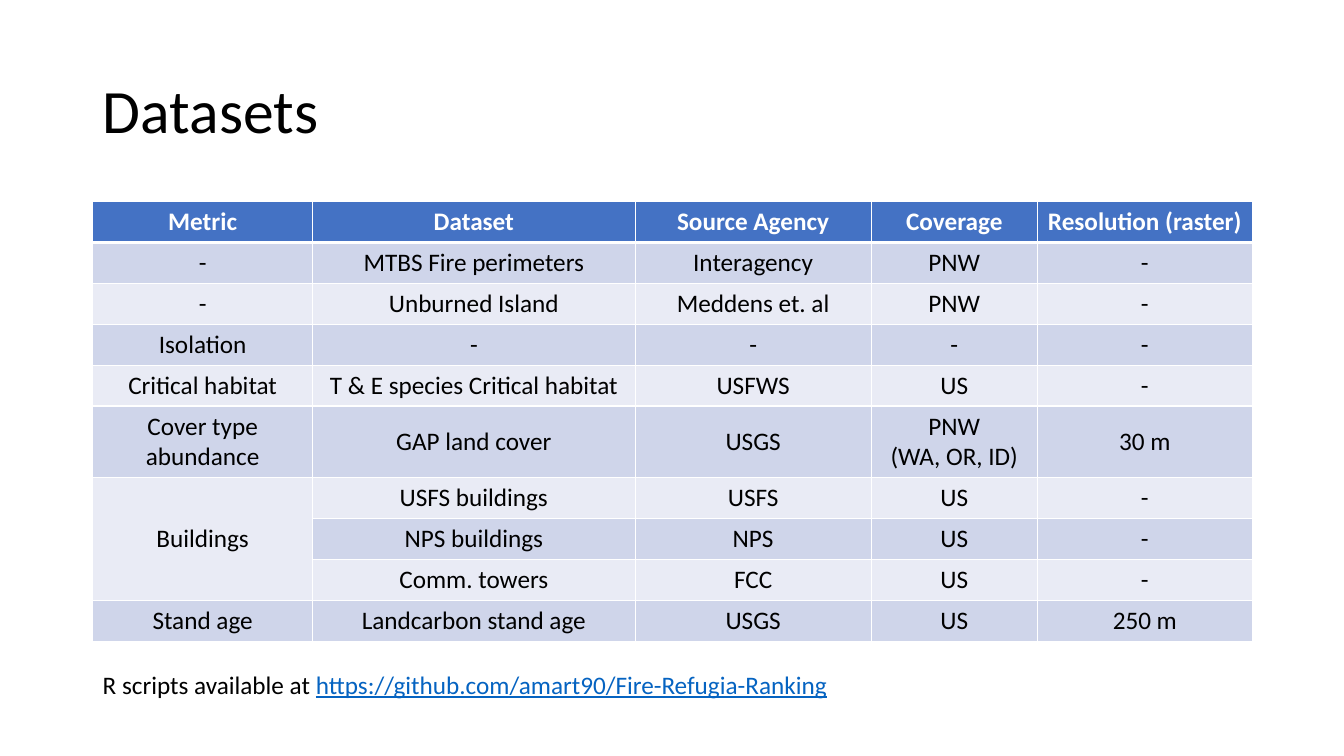
from typing import NamedTuple

from lxml.etree import SubElement
from pptx import Presentation
from pptx.dml.color import RGBColor
from pptx.enum.text import MSO_ANCHOR as Anchor, PP_ALIGN as Align
from pptx.oxml.ns import qn
from pptx.util import Inches, Pt

FACE = "Calibri"
BLACK, WHITE, LINK = "000000", "FFFFFF", "0563C1"
HEAD, BANDS = "4472C4", ("CFD5EA", "E9EBF5")
WIDTHS = (2.18, 3.2, 2.34, 1.65, 2.13)
LEFT, WIDE = 0.92, 11.5


class Row(NamedTuple):
    metric: str
    data: str
    agency: str
    cover: str
    grain: str


ROWS = (
    Row("Metric", "Dataset", "Source Agency", "Coverage", "Resolution (raster)"),
    Row("-", "MTBS Fire perimeters", "Interagency", "PNW", "-"),
    Row("-", "Unburned Island", "Meddens et. al", "PNW", "-"),
    Row("Isolation", "-", "-", "-", "-"),
    Row("Critical habitat", "T & E species Critical habitat", "USFWS", "US", "-"),
    Row("Cover type abundance", "GAP land cover", "USGS", "PNW\n(WA, OR, ID)", "30 m"),
    Row("Buildings", "USFS buildings", "USFS", "US", "-"),
    Row("", "NPS buildings", "NPS", "US", "-"),
    Row("", "Comm. towers", "FCC", "US", "-"),
    Row("Stand age", "Landcarbon stand age", "USGS", "US", "250 m"),
)


def paint(target, color: str) -> None:
    """Colour a fill or a font from a hex string."""
    if hasattr(target, "solid"):
        target.solid()
        target.fore_color.rgb = RGBColor.from_string(color)
    else:
        target.color.rgb = RGBColor.from_string(color)


def style(font, size: float, color: str, bold: bool = False) -> None:
    font.name, font.size, font.bold = FACE, Pt(size), bold
    paint(font, color)


def edge(cell, side: str, width: float) -> None:
    """Draw one white cell border; call in the order L, R, T, B."""
    props = cell._tc.get_or_add_tcPr()
    line = SubElement(props, qn(f"a:ln{side}"), w=str(Pt(width)))
    SubElement(SubElement(line, qn("a:solidFill")), qn("a:srgbClr"), val=WHITE)


def add_title(slide) -> None:
    title = slide.shapes.title
    title.left, title.top = Inches(LEFT), Inches(0.4)
    title.width, title.height = Inches(WIDE), Inches(1.45)
    frame = title.text_frame
    frame.text = "Datasets"
    frame.vertical_anchor = Anchor.MIDDLE
    para = frame.paragraphs[0]
    para.alignment, para.line_spacing = Align.LEFT, 0.9
    style(para.font, 44, BLACK)


def fill_cell(cell, text: str, row: int) -> None:
    head = row == 0
    for side in "LRTB":
        thick = (row, side) in ((0, "B"), (1, "T"))
        edge(cell, side, 3 if thick else 1)
    paint(cell.fill, HEAD if head else BANDS[(row - 1) % 2])
    cell.vertical_anchor = Anchor.MIDDLE
    cell.text = text
    for para in cell.text_frame.paragraphs:
        para.alignment = Align.CENTER
        style(para.font, 18, WHITE if head else BLACK, head)


def add_grid(slide) -> None:
    table = slide.shapes.add_table(
        len(ROWS), len(WIDTHS), Inches(LEFT), Inches(2), Inches(WIDE), Inches(4.05)
    ).table
    for column, width in zip(table.columns, WIDTHS):
        column.width = Inches(width)
    for r, row in enumerate(ROWS):
        for c, text in enumerate(row):
            fill_cell(table.cell(r, c), text, r)
    table.cell(6, 0).merge(table.cell(8, 0))


def add_note(slide) -> None:
    box = slide.shapes.add_textbox(
        Inches(LEFT), Inches(6.59), Inches(7.47), Inches(0.4)
    )
    para = box.text_frame.paragraphs[0]
    para.add_run().text = "R scripts available at "
    link = para.add_run()
    link.text = "https://github.com/amart90/Fire-Refugia-Ranking"
    style(para.font, 18, BLACK)
    link.font.underline = True
    paint(link.font, LINK)


def main() -> None:
    deck = Presentation()
    deck.slide_width, deck.slide_height = Inches(13.33), Inches(7.5)
    slide = deck.slides.add_slide(deck.slide_layouts[5])
    add_title(slide)
    add_grid(slide)
    add_note(slide)
    deck.save("out.pptx")


if __name__ == "__main__":
    main()
